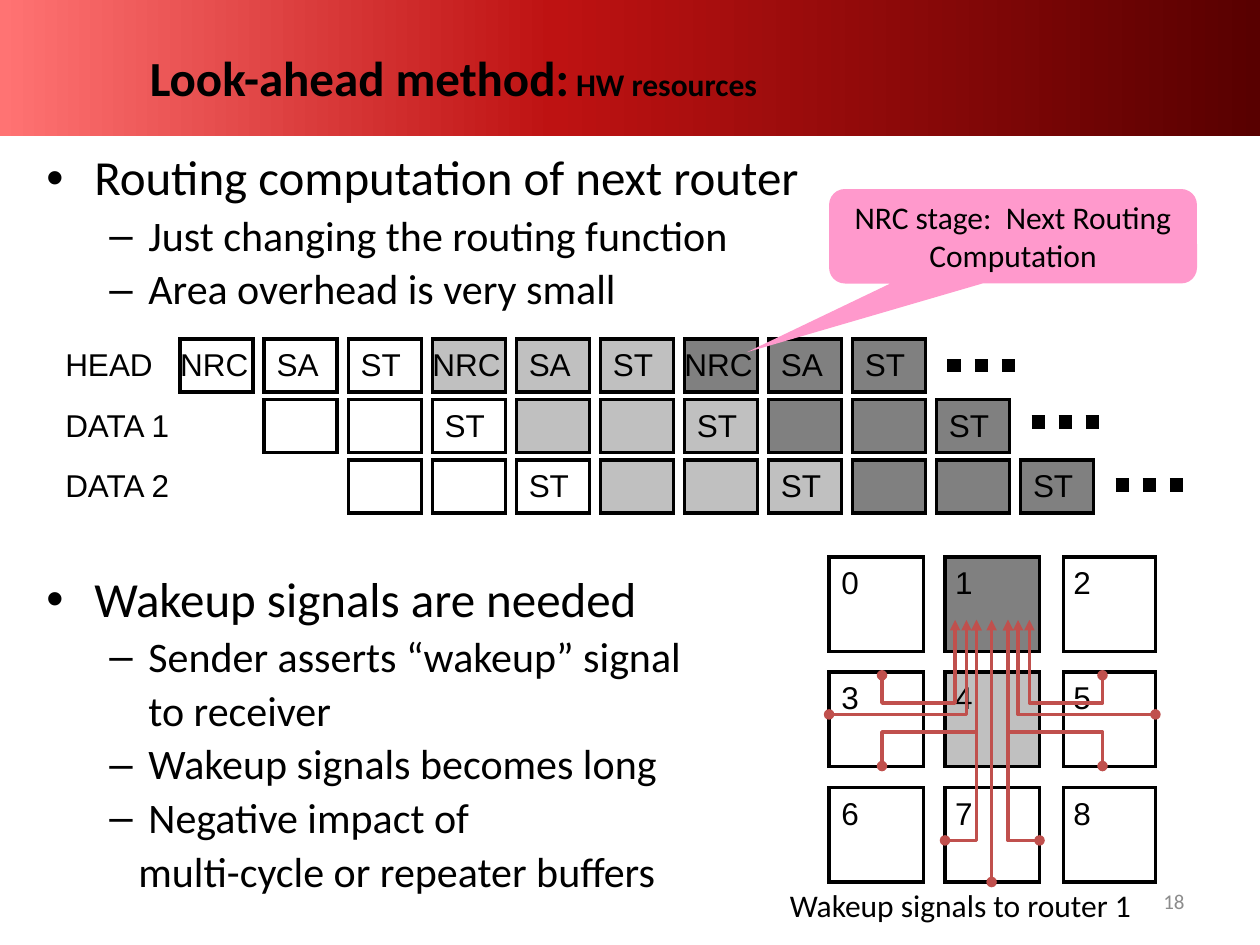
from copy import deepcopy

from lxml import etree
from pptx import Presentation
from pptx.dml.color import RGBColor
from pptx.enum import dml, shapes as kinds, text as txt
from pptx.oxml.ns import qn
from pptx.util import Inches, Pt

BLACK = RGBColor(0, 0, 0)
WHITE = RGBColor(255, 255, 255)
LIGHT = RGBColor(0xC0, 0xC0, 0xC0)
DARK = RGBColor(0x80, 0x80, 0x80)
NUMBER = RGBColor(0x8C, 0x8C, 0x8C)
PINK = RGBColor(0xFF, 0x99, 0xCC)
SIGNAL = RGBColor(0xC0, 0x50, 0x4D)
BANNER = [(0, RGBColor(0xFF, 0x73, 0x73)), (0.44, RGBColor(0xBE, 0x12, 0x12)),
          (1, RGBColor(0x58, 0, 0))]

prs = Presentation()
prs.slide_width, prs.slide_height = Inches(10), Inches(7.5)
slide = prs.slides.add_slide(prs.slide_layouts[6])
canvas = slide.shapes


def add_label(words, box, font="Arial", size=18, color=BLACK):
    """Add a wrapped text box and return its text frame."""
    frame = canvas.add_textbox(*map(Inches, box)).text_frame
    frame.word_wrap = True
    paragraph = frame.paragraphs[0]
    paragraph.text = words
    paragraph.font.name, paragraph.font.size = font, Pt(size)
    paragraph.font.color.rgb = color
    return frame


def add_cell(words, box, fill, inset=0.1):
    """Add an outlined rectangle with its label at the top left."""
    cell = canvas.add_shape(kinds.MSO_SHAPE.RECTANGLE, *map(Inches, box))
    cell.shadow.inherit = False
    cell.fill.solid()
    cell.fill.fore_color.rgb = fill
    cell.line.color.rgb = BLACK
    cell.line.width = Pt(2)
    etree.SubElement(cell.line._get_or_add_ln(), qn("a:miter"), lim="800000")
    frame = cell.text_frame
    frame.vertical_anchor = txt.MSO_ANCHOR.TOP
    frame.margin_left, frame.margin_right = Inches(inset), 0
    paragraph = frame.paragraphs[0]
    paragraph.text = words
    paragraph.alignment = txt.PP_ALIGN.LEFT
    paragraph.font.name, paragraph.font.size = "Arial", Pt(18)
    paragraph.font.color.rgb = BLACK


# Banner, title and slide number
banner = canvas.add_shape(kinds.MSO_SHAPE.RECTANGLE, 0, 0, Inches(10), Inches(1.08))
banner.shadow.inherit = False
banner.line.fill.background()
banner.fill.gradient()
banner.fill.gradient_angle = 0
first_stop = banner.fill._fill._gradFill.find(qn("a:gsLst"))[0]
first_stop.addnext(deepcopy(first_stop))
for stop, (position, color) in zip(banner.fill.gradient_stops, BANNER):
    stop.position = position
    stop.color.rgb = color

title = add_label("Look-ahead method:", (1.09, 0.22, 8.42, 0.78), "Calibri", 28)
title.vertical_anchor = txt.MSO_ANCHOR.MIDDLE
title.paragraphs[0].font.bold = True
subtitle = title.paragraphs[0].add_run()
subtitle.text = " HW resources"
subtitle.font.size = Pt(18)

number = add_label("18", (7.17, 6.95, 2.33, 0.4), "Calibri", 12, NUMBER)
number.vertical_anchor = txt.MSO_ANCHOR.MIDDLE
number.paragraphs[0].alignment = txt.PP_ALIGN.RIGHT

# Body: words, level, bullet, left margin, space before
points = [
    ("Routing computation of next router", 0, "•", 0.38, 5),
    ("Just changing the routing function", 1, "–", 0.81, 4.8),
    ("Area overhead is very small", 1, "–", 0.81, 4.8),
    ("Wakeup signals are needed", 0, "•", 0.38, 149),
    ("Sender asserts “wakeup” signal", 1, "–", 0.81, 4.8),
    ("to receiver", 1, None, 0.81, 4.8),
    ("Wakeup signals becomes long", 1, "–", 0.81, 4.8),
    ("Negative impact of", 1, "–", 0.81, 4.8),
    ("multi-cycle or repeater buffers", 1, None, 0.73, 4.8),
]
body = canvas.add_textbox(Inches(0.27), Inches(1.17), Inches(9.5), Inches(6.17)).text_frame
body.word_wrap = True
for i, (words, level, bullet, margin, gap) in enumerate(points):
    point = body.add_paragraph() if i else body.paragraphs[0]
    point.text = words
    point.level = level
    point.line_spacing = 0.9
    point.space_before = Pt(gap)
    point.font.name, point.font.size = "Calibri", Pt((28, 24)[level])
    point.font.color.rgb = BLACK
    props = point._p.get_or_add_pPr()
    props.set("marL", str(Inches(margin)))
    if bullet:
        props.set("indent", str(-Inches((0.38, 0.31)[level])))
        face = etree.Element(qn("a:buFont"), typeface="Arial")
        props.find(qn("a:spcBef")).addnext(face)
        face.addnext(etree.Element(qn("a:buChar"), char=bullet))

# Pipeline: each flit starts one stage later, each router takes three stages
STEP = 0.667
for row, (flit, dots_y) in enumerate([("HEAD", 2.9), ("DATA 1", 3.35), ("DATA 2", 3.85)]):
    top = 2.69 + 0.48 * row
    add_label(flit, (0.42, top, 1.17, 0.43))
    stages = ("", "", "ST") if row else ("NRC", "SA", "ST")
    for router, fill in enumerate((WHITE, LIGHT, DARK)):
        for col, stage in enumerate(stages):
            left = 1.43 + STEP * (row + 3 * router + col)
            add_cell(stage, (left, top, 0.58, 0.42), fill, 0 if stage == "NRC" else 0.1)
    dots_x = 7.52 + STEP * row
    dots = canvas.add_connector(kinds.MSO_CONNECTOR.STRAIGHT, Inches(dots_x), Inches(dots_y),
                                Inches(dots_x + 0.58), Inches(dots_y))
    dots.line.color.rgb = BLACK
    dots.line.width = Pt(7.75)
    dots.line.dash_style = dml.MSO_LINE.ROUND_DOT
    etree.SubElement(dots._element.spPr, qn("a:effectLst"))

callout = canvas.add_shape(kinds.MSO_SHAPE.ROUNDED_RECTANGULAR_CALLOUT,
                           Inches(6.58), Inches(1.5), Inches(2.92), Inches(0.75))
for i, value in enumerate((-0.723, 1.227, 0.167)):
    callout.adjustments[i] = value
callout.shadow.inherit = False
callout.fill.solid()
callout.fill.fore_color.rgb = PINK
callout.line.fill.background()
note = callout.text_frame.paragraphs[0]
note.text = "NRC stage:  Next Routing Computation"
note.alignment = txt.PP_ALIGN.CENTER
note.font.name, note.font.size = "Calibri", Pt(18)
note.font.color.rgb = BLACK

# Router mesh
router_fills = {1: DARK, 4: LIGHT}
columns = [(6.58, 0.75, 0.1), (7.5, 0.75, 0.08), (8.44, 0.73, 0.08)]
for router in range(9):
    left, width, inset = columns[router % 3]
    top = 4.42 + 0.915 * (router // 3)
    add_cell(str(router), (left, top, width, 0.75), router_fills.get(router, WHITE), inset)

# Wakeup wires: left-hand routes, mirrored about the middle of the mesh
AXIS, TIP = 7.875, 4.92
routes = [
    [(7, 5.36), (7, 5.58), (7.58, 5.58), (7.58, TIP)],
    [(6.58, 5.67), (7.67, 5.67), (7.67, TIP)],
    [(7, 6.08), (7, 5.81), (7.75, 5.81), (7.75, TIP)],
    [(7.5, 6.67), (7.75, 6.67), (7.75, TIP)],
]
wires = []
for route in routes:
    for side in (route, [(2 * AXIS - x, y) for x, y in route]):
        corners = [(Inches(x), Inches(y)) for x, y in side]
        pen = canvas.build_freeform(*corners[0])
        pen.add_line_segments(corners[1:], close=False)
        wire = pen.convert_to_shape()
        wire.fill.background()
        wire.shadow.inherit = False
        wires.append(wire)
middle = canvas.add_connector(kinds.MSO_CONNECTOR.STRAIGHT, Inches(7.87), Inches(7),
                              Inches(7.87), Inches(TIP))
wires.append(middle)
for wire in wires:
    wire.line.color.rgb = SIGNAL
    wire.line.width = Pt(2)
    outline = wire.line._get_or_add_ln()
    etree.SubElement(outline, qn("a:headEnd"), type="oval")
    etree.SubElement(outline, qn("a:tailEnd"), type="triangle")
etree.SubElement(middle._element.spPr, qn("a:effectLst"))

add_label("Wakeup signals to router 1", (6.17, 6.98, 3.66, 0.43), "Calibri")

prs.save("out.pptx")
